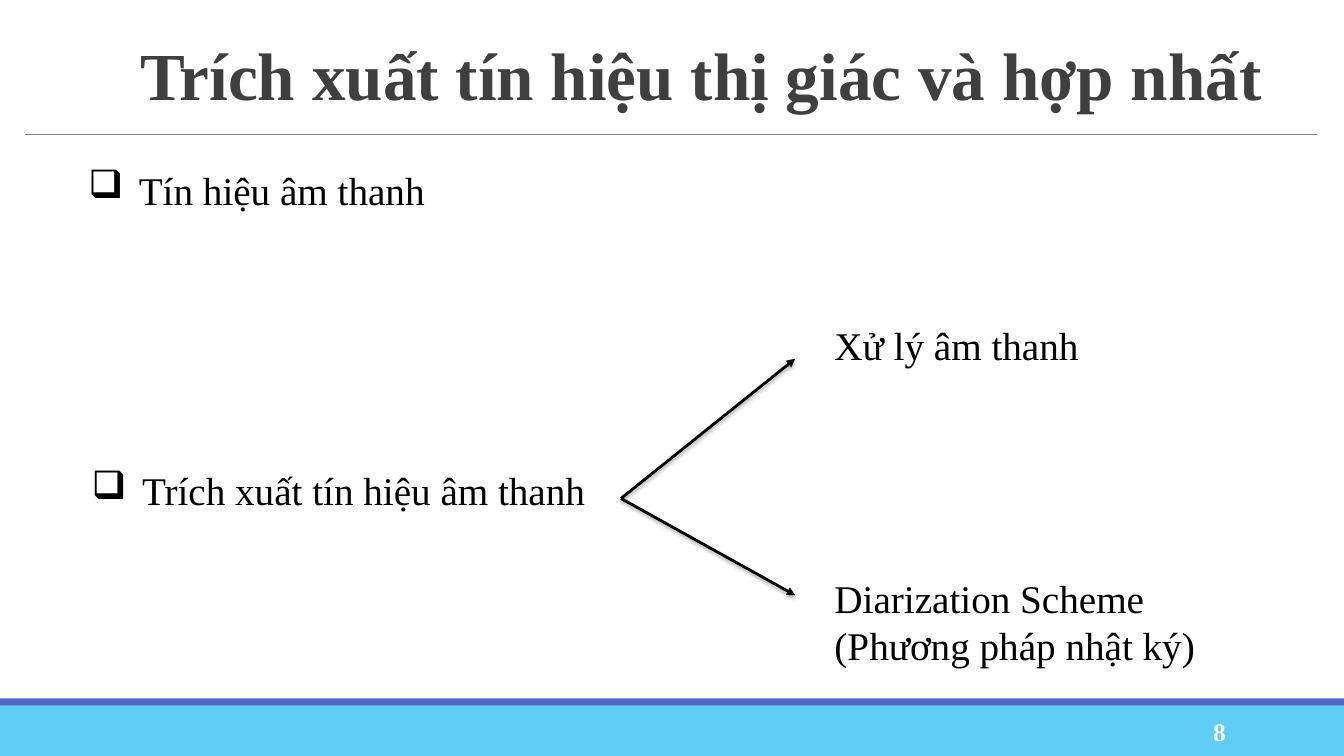
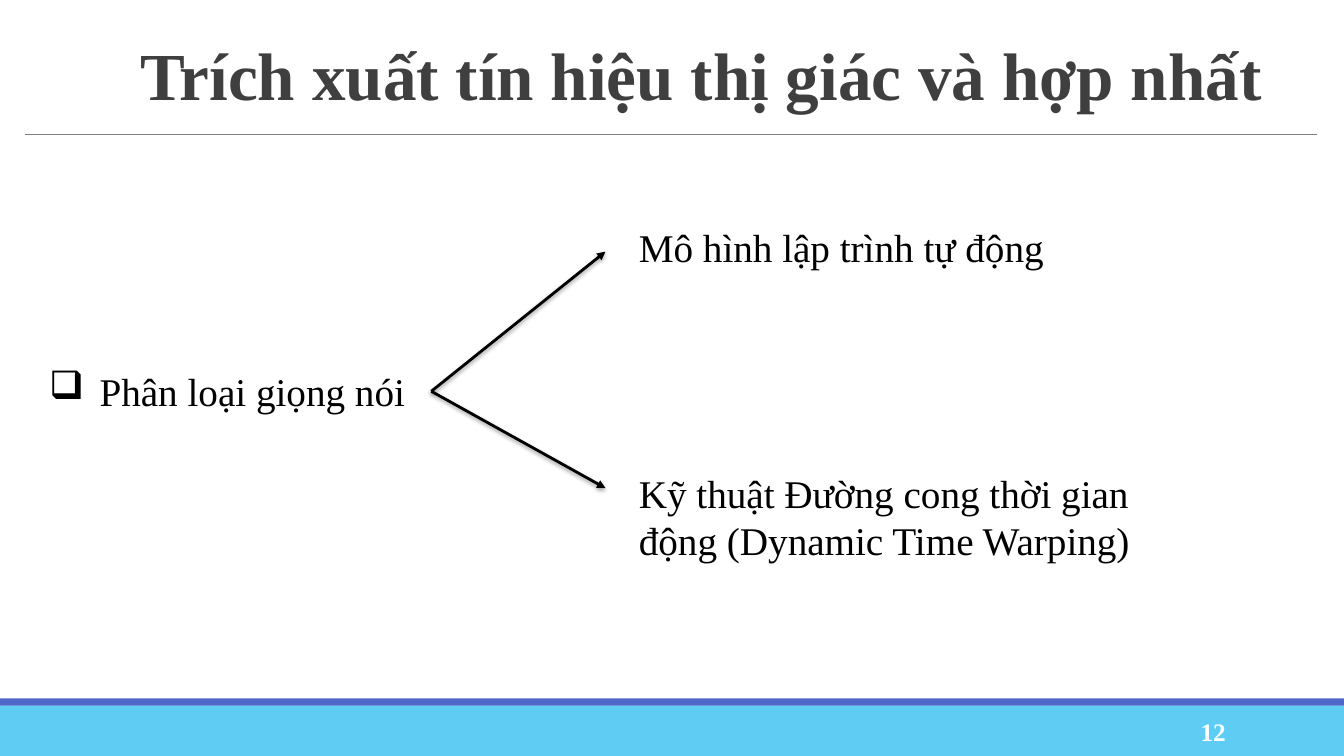
from lxml import etree
from pptx import Presentation
from pptx.dml.color import RGBColor
from pptx.enum.shapes import MSO_CONNECTOR, MSO_SHAPE
from pptx.enum.text import MSO_ANCHOR, PP_ALIGN
from pptx.oxml import parse_xml
from pptx.oxml.ns import qn
from pptx.util import Cm, Pt

RECT = MSO_SHAPE.RECTANGLE
STRAIGHT = MSO_CONNECTOR.STRAIGHT
TOP, MIDDLE = MSO_ANCHOR.TOP, MSO_ANCHOR.MIDDLE
LEFT, RIGHT = PP_ALIGN.LEFT, PP_ALIGN.RIGHT

FONT = "Times New Roman"
BLACK, WHITE, TITLE_GRAY, RULE_GRAY = "000000", "FFFFFF", "3F3F3F", "7F7F7F"
SKY, INDIGO = "5ECCF3", "4E67C8"
WIDTH, HEIGHT = 33.87, 19.05
TITLE = "Trích xuất tín hiệu thị giác và hợp nhất"
HANGING = Cm(1.27)

# Both forks have the same shape: run to the right, rise and drop
FORK_RUN, FORK_ENDS = 4.39, (-3.52, 2.44)
NO_EFFECT = '<a:effectLst xmlns:a="http://schemas.openxmlformats.org/drawingml/2006/main"/>'
SOFT_SHADOW = (
    '<a:effectLst xmlns:a="http://schemas.openxmlformats.org/drawingml/2006/main">'
    '<a:outerShdw blurRad="40000" dist="20000" dir="5400000" rotWithShape="0">'
    '<a:srgbClr val="000000"><a:alpha val="38000"/></a:srgbClr>'
    '</a:outerShdw></a:effectLst>'
)

# Text boxes: text, left, top, width, height, bulleted
SLIDES = [
    {
        "number": "8",
        "fork": (15.65, 12.56),
        "texts": [
            ("Tín hiệu âm thanh", 1.98, 4.06, 11.96, 1.45, True),
            ("Trích xuất tín hiệu âm thanh", 2.06, 11.63, 13.18, 1.45, True),
            ("Xử lý âm thanh", 20.78, 7.98, 11.96, 1.45, False),
            ("Diarization Scheme (Phương pháp nhật ký)", 20.78, 14.35, 11.96, 2.64, False),
        ],
    },
    {
        "number": "12",
        "fork": (10.87, 9.86),
        "texts": [
            ("Phân loại giọng nói", 0.99, 9.12, 9.73, 1.45, True),
            ("Mô hình lập trình tự động", 15.85, 5.49, 11.96, 1.45, False),
            ("Kỹ thuật Đường cong thời gian động (Dynamic Time Warping)",
             15.85, 11.71, 14.45, 2.64, False),
        ],
    },
]


def add_text(slide, text, left, top, width, height, size=28, color=BLACK,
             bold=False, align=LEFT, anchor=TOP, spacing=None, bullet=False):
    frame = slide.shapes.add_textbox(Cm(left), Cm(top), Cm(width), Cm(height)).text_frame
    frame.word_wrap = True
    frame.vertical_anchor = anchor
    paragraph = frame.paragraphs[0]
    paragraph.alignment = align
    if spacing:
        paragraph.line_spacing = spacing
    if bullet:
        properties = paragraph._p.get_or_add_pPr()
        properties.set("marL", str(HANGING))
        properties.set("indent", str(-HANGING))
        etree.SubElement(properties, qn("a:buChar")).set("char", "❑")
    run = paragraph.add_run()
    run.text = text
    run.font.name = FONT
    run.font.size = Pt(size)
    run.font.bold = bold
    run.font.color.rgb = RGBColor.from_string(color)


def add_line(slide, start, end, color, weight, effect=NO_EFFECT, arrow=False):
    x1, y1, x2, y2 = (Cm(value) for value in (*start, *end))
    line = slide.shapes.add_connector(STRAIGHT, x1, y1, x2, y2)
    line.line.color.rgb = RGBColor.from_string(color)
    line.line.width = Pt(weight)
    if arrow:
        outline = line.line._get_or_add_ln()
        etree.SubElement(outline, qn("a:tailEnd")).set("type", "triangle")
    line._element.spPr.append(parse_xml(effect))


deck = Presentation()
deck.slide_width, deck.slide_height = Cm(WIDTH), Cm(HEIGHT)
blank = deck.slide_layouts[6]

for content in SLIDES:
    slide = deck.slides.add_slide(blank)

    # Footer bands
    for color, top, height in ((SKY, 17.78, 1.27), (INDIGO, 17.6, 0.18)):
        band = slide.shapes.add_shape(RECT, 0, Cm(top), Cm(WIDTH), Cm(height))
        band.shadow.inherit = False
        band.fill.solid()
        band.fill.fore_color.rgb = RGBColor.from_string(color)
        band.line.fill.background()

    # Title, rule and slide number
    add_line(slide, (0.64, 3.38), (33.2, 3.38), RULE_GRAY, 0.75)
    add_text(slide, TITLE, 3.28, 0.79, 29.92, 2.44, size=48, color=TITLE_GRAY,
             bold=True, anchor=MIDDLE, spacing=0.85)
    add_text(slide, content["number"], 27.51, 17.93, 3.63, 1.02, size=18,
             color=WHITE, bold=True, align=RIGHT, anchor=MIDDLE)

    # Topics and their branches
    for text, left, top, width, height, bullet in content["texts"]:
        add_text(slide, text, left, top, width, height, bullet=bullet)

    # Fork of arrows
    x, y = content["fork"]
    for offset in FORK_ENDS:
        add_line(slide, (x, y), (x + FORK_RUN, y + offset), BLACK, 2,
                 effect=SOFT_SHADOW, arrow=True)

deck.save("out.pptx")
